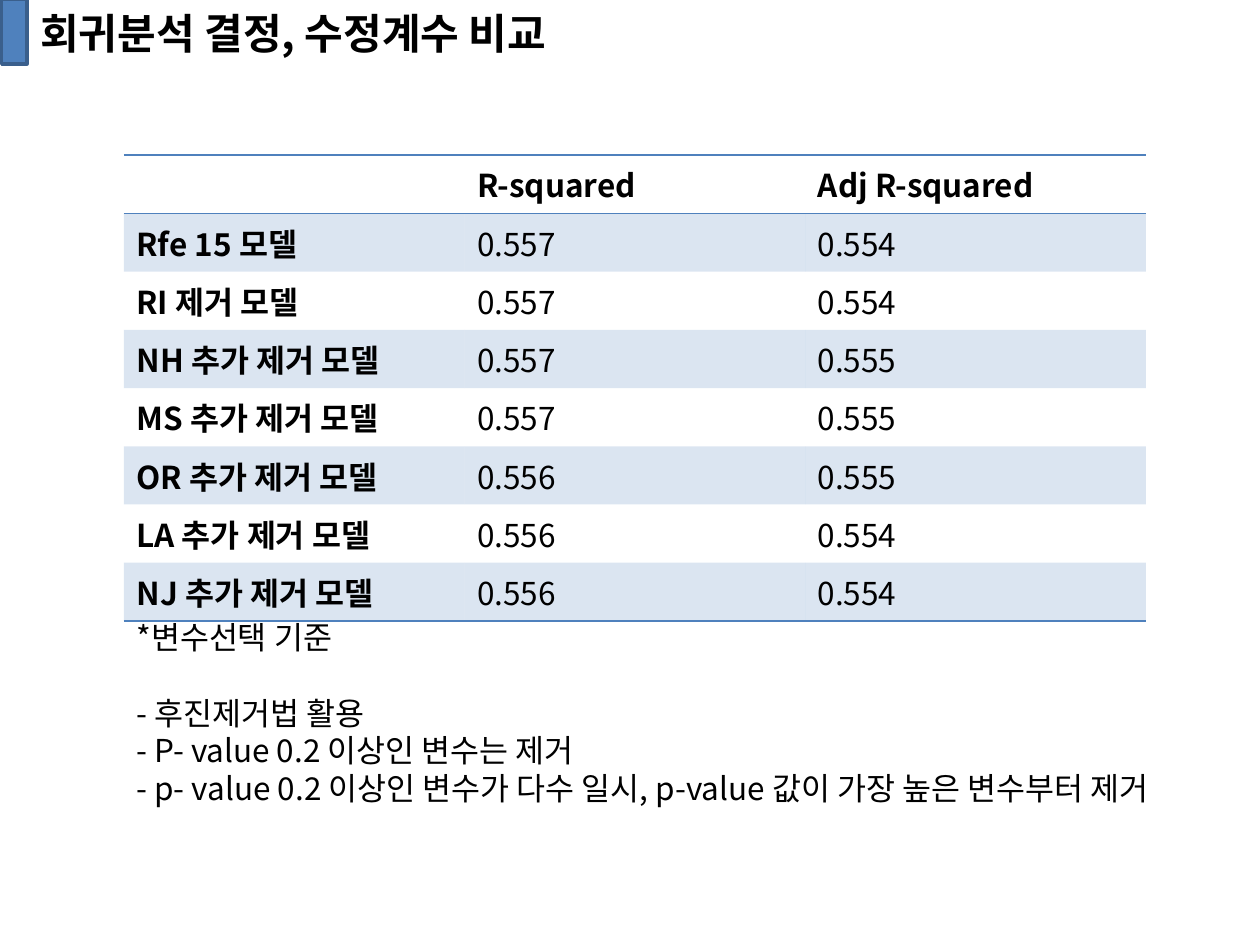
"""Build the slide that compares the fit of the regression models."""
from typing import NamedTuple

from pptx import Presentation
from pptx import util as u
from pptx.dml.color import RGBColor
from pptx.enum import shapes, text
from pptx.oxml import ns, parse_xml

FONT = "Noto Sans CJK KR"
BLACK = RGBColor(0x00, 0x00, 0x00)
BLUE = RGBColor(0x4F, 0x81, 0xBD)
DARK_BLUE = RGBColor(0x3A, 0x5F, 0x8C)
NO_STYLE = "{2D5ABB26-0587-4C30-8999-92F81FD0307C}"
BAND_ALPHA = 20000


class Area(NamedTuple):
    left: float
    top: float
    width: float
    height: float

    def points(self) -> list[u.Length]:
        return [u.Pt(value) for value in self]


class Model(NamedTuple):
    name: str
    r_squared: str
    adjusted: str


class Line(NamedTuple):
    words: str
    space_before: float = 0


HEADER = Model("", "R-squared", "Adj R-squared")
MODELS = [
    Model("Rfe 15 모델", "0.557", "0.554"),
    Model("RI 제거 모델", "0.557", "0.554"),
    Model("NH 추가 제거 모델", "0.557", "0.555"),
    Model("MS 추가 제거 모델", "0.557", "0.555"),
    Model("OR 추가 제거 모델", "0.556", "0.555"),
    Model("LA 추가 제거 모델", "0.556", "0.554"),
    Model("NJ 추가 제거 모델", "0.556", "0.554"),
]
TITLE = [Line("회귀분석 결정, 수정계수 비교")]
NOTES = [
    Line("*변수선택 기준"),
    Line("- 후진제거법 활용", space_before=21.5),
    Line("- P- value 0.2 이상인 변수는 제거"),
    Line("- p- value 0.2 이상인 변수가 다수 일시, p-value 값이 가장 높은 변수부터 제거"),
]


def write(para, words: str, *, size: float = 18, bold: bool = False) -> None:
    span = para.add_run()
    span.text = words
    span.font.size, span.font.bold, span.font.name = u.Pt(size), bold, FONT
    span.font.color.rgb = BLACK
    east_asian = parse_xml(f'<a:ea {ns.nsdecls("a")} typeface="{FONT}"/>')
    span.font._element.find(ns.qn("a:latin")).addnext(east_asian)


def add_text(page, area: Area, lines: list[Line], *, size: float = 18,
             bold: bool = False, spacing: float = 21.5) -> None:
    frame = page.shapes.add_textbox(*area.points()).text_frame
    frame.word_wrap = True
    frame.auto_size = text.MSO_AUTO_SIZE.NONE
    for index, line in enumerate(lines):
        para = frame.add_paragraph() if index else frame.paragraphs[0]
        para.line_spacing = u.Pt(spacing)
        para.space_before = u.Pt(line.space_before)
        write(para, line.words, size=size, bold=bold)


def add_rule(cell, side: str) -> None:
    rule = parse_xml(
        f'<a:{side} {ns.nsdecls("a")} w="{u.Pt(1)}"><a:solidFill>'
        f'<a:srgbClr val="{BLUE}"/></a:solidFill></a:{side}>')
    cell._tc.get_or_add_tcPr().insert(0, rule)


def fill_band(cell) -> None:
    cell.fill.solid()
    cell.fill.fore_color.rgb = BLUE
    color = cell._tc.tcPr.find(".//" + ns.qn("a:srgbClr"))
    color.append(parse_xml(f'<a:alpha {ns.nsdecls("a")} val="{BAND_ALPHA}"/>'))


def add_model_table(page, area: Area) -> None:
    rows = [HEADER, *MODELS]
    frame = page.shapes.add_table(len(rows), len(HEADER), *area.points())
    table = frame.table
    table._tbl.tblPr.find(ns.qn("a:tableStyleId")).text = NO_STYLE
    for row in table.rows:
        row.height = u.Pt(area.height / len(rows))
    for row_index, model in enumerate(rows):
        for column_index, words in enumerate(model):
            cell = table.cell(row_index, column_index)
            para = cell.text_frame.paragraphs[0]
            if words:
                write(para, words, bold=row_index == 0 or column_index == 0)
            else:
                para.font.size = u.Pt(18)
            if row_index % 2:
                fill_band(cell)
            else:
                cell.fill.background()
            if row_index in (0, len(rows) - 1):
                add_rule(cell, "lnB")
            if row_index == 0:
                add_rule(cell, "lnT")


def add_title_marker(page, area: Area) -> None:
    marker = page.shapes.add_shape(shapes.MSO_SHAPE.RECTANGLE, *area.points())
    marker.shadow.inherit = False
    marker.fill.solid()
    marker.fill.fore_color.rgb = BLUE
    marker.line.color.rgb = DARK_BLUE
    marker.line.width = u.Pt(2)


def main() -> None:
    deck = Presentation()
    deck.slide_width, deck.slide_height = u.Pt(720), u.Pt(540)
    page = deck.slides.add_slide(deck.slide_layouts[6])
    add_model_table(page, Area(70.8, 88.6, 584, 266.4))
    add_title_marker(page, Area(1, -0.5, 14.5, 37))
    add_text(page, Area(16, 0.5, 338, 36), TITLE, size=24, bold=True, spacing=28.8)
    add_text(page, Area(70.8, 350, 655, 116.5), NOTES)
    deck.save("out.pptx")


if __name__ == "__main__":
    main()
